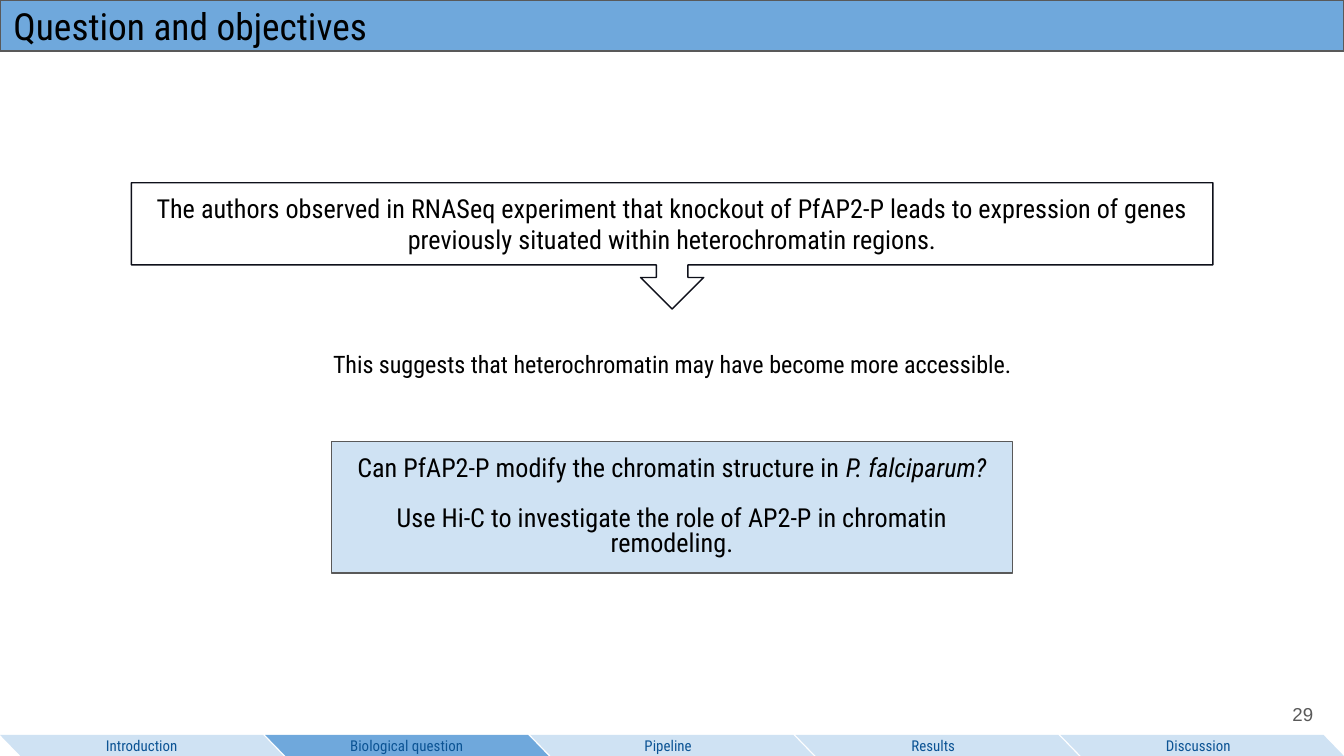
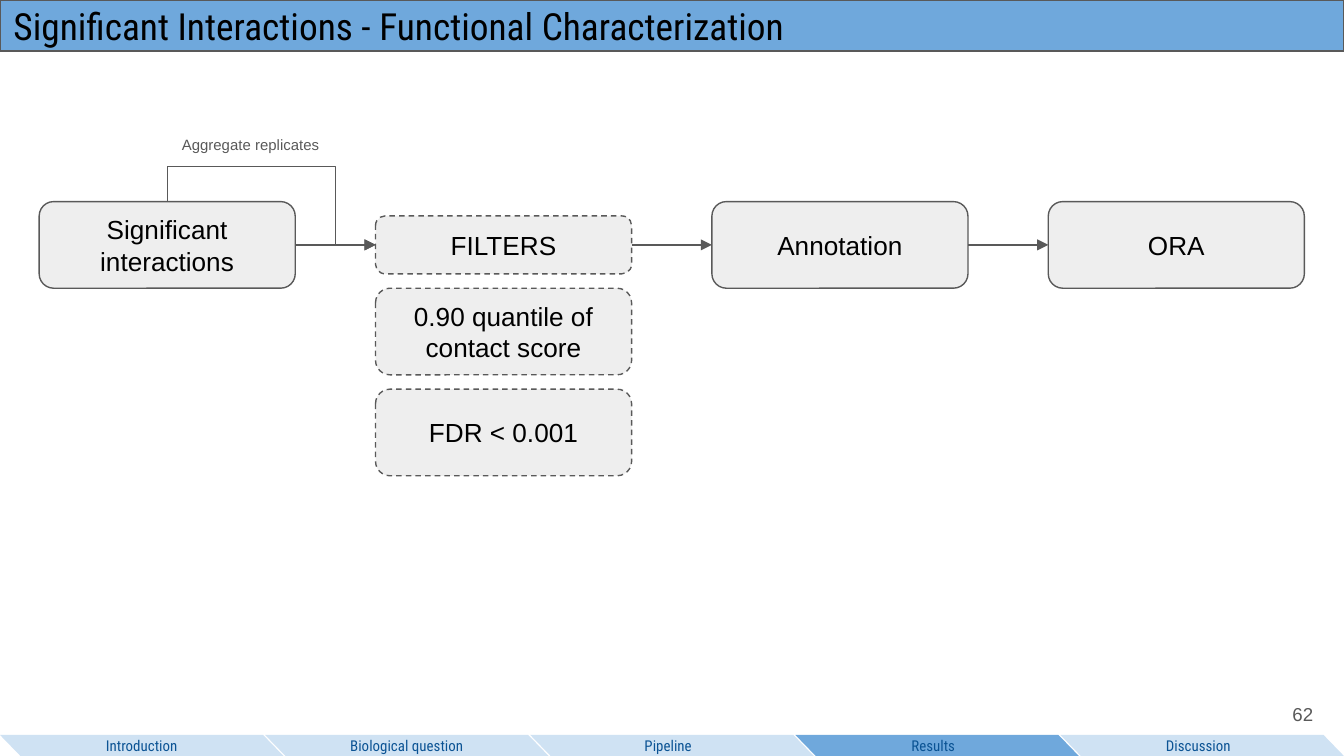
"""Build two slides: the study question and the functional characterization workflow."""
import pptx
import pptx.dml.color
import pptx.enum.dml
import pptx.enum.shapes
import pptx.enum.text
import pptx.oxml.ns
import pptx.util
from lxml import etree

Pt = pptx.util.Pt
qn = pptx.oxml.ns.qn
SHAPE = pptx.enum.shapes.MSO_SHAPE
LINK = pptx.enum.shapes.MSO_CONNECTOR
ALIGN = pptx.enum.text.PP_ALIGN
ANCHOR = pptx.enum.text.MSO_ANCHOR

COLORS = {
    "black": "000000",
    "gray": "595959",
    "ink": "0E101A",
    "box": "EEEEEE",
    "band": "6FA8DC",
    "pale": "CFE2F3",
    "navy": "0B5394",
}
SANS, CONDENSED = "Arial", "Roboto Condensed"
WIDTH, HEIGHT = 720, 405
SECTIONS = ["Introduction", "Biological question", "Pipeline", "Results", "Discussion"]


class Deck:
    def __init__(self):
        self.prs = pptx.Presentation()
        self.prs.slide_width, self.prs.slide_height = Pt(WIDTH), Pt(HEIGHT)
        self.s = None

    def color(self, name):
        return pptx.dml.color.RGBColor.from_string(COLORS[name])

    def paint(self, sp, fill=None, line=None, dash=False):
        if fill:
            sp.fill.solid()
            sp.fill.fore_color.rgb = self.color(fill)
        else:
            sp.fill.background()
        if line:
            sp.line.color.rgb = self.color(line)
            sp.line.width = Pt(0.75)
            if dash:
                sp.line.dash_style = pptx.enum.dml.MSO_LINE.DASH
        else:
            sp.line.fill.background()

    def set_text(self, sp, paragraphs, size, font=SANS, color="black", align=ALIGN.CENTER,
                 anchor=ANCHOR.MIDDLE, spacing=None, gap=0, right=7.2):
        tf = sp.text_frame
        tf.word_wrap = True
        tf.auto_size = pptx.enum.text.MSO_AUTO_SIZE.NONE
        tf.vertical_anchor = anchor
        tf.margin_left = tf.margin_top = tf.margin_bottom = Pt(7.2)
        tf.margin_right = Pt(right)
        for i, (plain, *italic) in enumerate(paragraphs):
            p = tf.add_paragraph() if i else tf.paragraphs[0]
            p.alignment = align
            if spacing:
                p.line_spacing = spacing
            if i:
                p.space_before = Pt(gap)
            p.font.size, p.font.name = Pt(size), font
            p.font.color.rgb = self.color(color)
            p.add_run().text = plain
            for text in italic:
                r = p.add_run()
                r.text = text
                r.font.italic = True

    def shape(self, kind, box, fill=None, line=None, dash=False, adj=(), parent=None):
        sp = (parent or self.s).shapes.add_shape(kind, *map(Pt, box))
        sp.shadow.inherit = False
        for i, value in enumerate(adj):
            sp.adjustments[i] = value
        self.paint(sp, fill, line, dash)
        return sp

    def text(self, box, text, size, **style):
        self.set_text(self.s.shapes.add_textbox(*map(Pt, box)), [[text]], size, **style)

    def step(self, box, text, dash=False):
        sp = self.shape(SHAPE.ROUNDED_RECTANGLE, box, "box", "gray", dash, [0.167])
        self.set_text(sp, [[text]], 14)

    def arrow(self, x1, y1, x2, y2, kind=LINK.STRAIGHT):
        c = self.s.shapes.add_connector(kind, Pt(x1), Pt(y1), Pt(x2), Pt(y2))
        c.line.color.rgb = self.color("gray")
        c.line.width = Pt(0.75)
        pr = c._element.spPr
        etree.SubElement(pr.find(qn("a:ln")), qn("a:tailEnd"), type="triangle")
        etree.SubElement(pr, qn("a:effectLst"))
        return pr

    def detour(self, x1, y1, x2, y2, rise, turn):
        cx, cy = (x1 + x2) / 2, (y1 + y2) / 2
        dx, dy = (y2 - y1) / 2, (x2 - x1) / 2
        pr = self.arrow(cx + dx, cy - dy, cx - dx, cy + dy, LINK.ELBOW)
        pr.find(qn("a:xfrm")).set("rot", str(270 * 60000))
        geom = pr.find(qn("a:prstGeom"))
        geom.set("prst", "bentConnector4")
        guides = geom.find(qn("a:avLst"))
        ratios = -rise / (y2 - y1), (turn - x1) / (x2 - x1)
        for i, ratio in enumerate(ratios, 1):
            etree.SubElement(guides, qn("a:gd"), name=f"adj{i}",
                             fmla=f"val {round(ratio * 100000)}")

    def navigation(self, current):
        group = self.s.shapes.add_group_shape()
        width, height = 151.9, 11.3
        pitch = (WIDTH - width) / (len(SECTIONS) - 1)
        for i, name in enumerate(SECTIONS):
            sp = self.shape(SHAPE.PARALLELOGRAM, (i * pitch, HEIGHT - height, width, height),
                            "band" if name == current else "pale", adj=[0.97], parent=group)
            sp._element.spPr.find(qn("a:xfrm")).set("flipH", "1")
            self.set_text(sp, [[name]], 8, CONDENSED, "navy", right=7.2 if i < 2 else 11.2)

    def slide(self, title, number, section):
        self.s = self.prs.slides.add_slide(self.prs.slide_layouts[5])
        sp = self.s.shapes.title
        sp.left, sp.top, sp.width, sp.height = map(Pt, (0, 0, WIDTH, 27.4))
        self.paint(sp, "band", "gray")
        self.set_text(sp, [[title]], 20, CONDENSED, align=ALIGN.LEFT)
        self.text((667.4, 367.2, 43.2, 31), number, 10, color="gray", align=ALIGN.RIGHT)
        self.navigation(section)


def question(deck):
    deck.slide("Question and objectives", "29", "Biological question")
    deck.text((70.4, 182.9, 579.4, 27.4),
              "This suggests that heterochromatin may have become more accessible.",
              12.9, font=CONDENSED, anchor=ANCHOR.TOP, spacing=0.8)
    sp = deck.shape(SHAPE.RECTANGLE, (177.6, 236.7, 364.8, 70.4), "pale", "gray")
    deck.set_text(sp, [
        ["Can PfAP2-P modify the chromatin structure in ", "P. falciparum?"],
        ["Use Hi-C to investigate the role of AP2-P in chromatin remodeling."],
    ], 14, CONDENSED, spacing=0.8, gap=13.3)
    sp = deck.shape(SHAPE.DOWN_ARROW_CALLOUT, (70.4, 97.9, 579.4, 67.7), line="ink",
                    adj=[0.25, 0.25, 0.25, 0.65])
    deck.set_text(sp, [["The authors observed in RNASeq experiment that knockout of PfAP2-P "
                        "leads to expression of genes previously situated within "
                        "heterochromatin regions."]], 14, CONDENSED)


def workflow(deck):
    deck.slide("Significant Interactions - Functional Characterization", "62", "Results")
    left, pitch, width, height, middle, gap = 21, 180.2, 137.2, 46.4, 131.2, 7.7
    top = middle - height / 2
    columns = [left + i * pitch for i in range(4)]
    filters = columns[1]
    for x, name in zip(columns, ["Significant interactions", None, "Annotation", "ORA"]):
        if name:
            deck.step((x, top, width, height), name)
    y = middle - 15.5
    for name, h in [("FILTERS", 31), ("0.90 quantile of contact score", height),
                    ("FDR < 0.001", height)]:
        deck.step((filters, y, width, h), name, dash=True)
        y += h + gap
    for x, target in zip(columns, columns[1:]):
        deck.arrow(x + width, middle, target, middle)
    deck.detour(left + width / 2, top, filters, middle, 18.8, 179.8)
    deck.text((82.8, 65.5, 103, 23.8), "Aggregate replicates", 8, color="gray",
              anchor=ANCHOR.TOP)


def main():
    deck = Deck()
    question(deck)
    workflow(deck)
    deck.prs.save("out.pptx")


if __name__ == "__main__":
    main()
